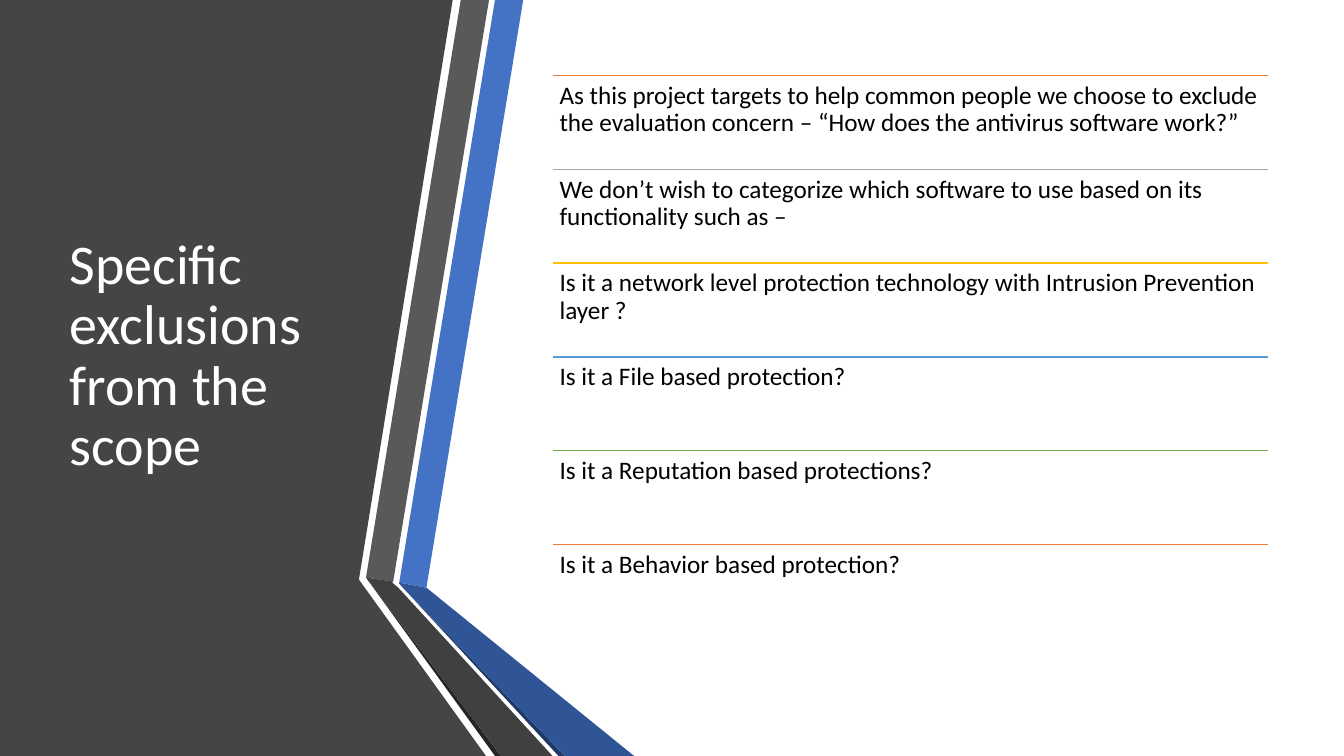
from lxml import etree
from pptx import Presentation
from pptx.dml.color import RGBColor
from pptx.enum.shapes import MSO_CONNECTOR
from pptx.enum.text import MSO_ANCHOR, MSO_AUTO_SIZE, PP_ALIGN
from pptx.oxml.ns import qn
from pptx.util import Inches, Pt

COLORS = {
    "panel": "454545", "blue band": "4472C4", "grey band": "595959",
    "grey edge": "262626", "blue edge": "203864",
    "blue fold": "2F5597", "grey fold": "404040",
    "title": "FFFFFF", "body": "000000",
    "orange": "ED7D31", "grey": "A5A5A5", "gold": "FFC000",
    "sky": "5B9BD5", "green": "70AD47",
}


def rgb(name):
    return RGBColor.from_string(COLORS[name])


def style_text(frame, size, color):
    frame.word_wrap = True
    frame.auto_size = MSO_AUTO_SIZE.NONE
    paragraph = frame.paragraphs[0]
    paragraph.alignment = PP_ALIGN.LEFT
    paragraph.line_spacing = 0.9
    font = paragraph.runs[0].font
    font.name = "Calibri"
    font.size = Pt(size)
    font.color.rgb = rgb(color)


prs = Presentation()
prs.slide_width = Inches(13.33)
prs.slide_height = Inches(7.5)
slide = prs.slides.add_slide(prs.slide_layouts[5])

# Dark panel and the folded bands beside it, back to front
outlines = [
    ("panel", [(0, 0), (4.49, 0), (3.56, 5.75), (4.82, 7.5), (0, 7.5)]),
    ("blue band", [(3.96, 5.78), (4.23, 5.83), (5.19, 0), (4.91, 0)]),
    ("grey band", [(4.85, 0), (4.57, 0), (3.63, 5.73), (3.9, 5.77)]),
    ("grey edge", [(3.63, 5.73), (4.91, 7.5), (4.97, 7.5)]),
    ("blue edge", [(3.96, 5.79), (5.54, 7.5), (5.6, 7.5)]),
    ("blue fold", [(3.96, 5.78), (3.96, 5.79), (5.6, 7.5), (6.29, 7.5), (4.23, 5.83)]),
    ("grey fold", [(3.63, 5.73), (4.97, 7.5), (5.48, 7.5), (3.95, 5.83),
                   (3.89, 5.78), (3.9, 5.77)]),
]
for color, points in outlines:
    corners = [(Inches(x), Inches(y)) for x, y in points]
    builder = slide.shapes.build_freeform(*corners[0])
    builder.add_line_segments(corners[1:], close=True)
    band = builder.convert_to_shape()
    band.shadow.inherit = False
    band.fill.solid()
    band.fill.fore_color.rgb = rgb(color)
    band.line.fill.background()

# Title, brought in front of the panel
title = slide.shapes.title
band.element.addnext(title.element)
title.left, title.top = Inches(0.59), Inches(0.75)
title.width, title.height = Inches(3.04), Inches(5.58)
title.text_frame.text = "Specific exclusions from the scope"
title.text_frame.vertical_anchor = MSO_ANCHOR.MIDDLE
style_text(title.text_frame, 40, "title")

# Exclusions, each under a coloured rule
exclusions = [
    ("orange", "As this project targets to help common people we choose to exclude "
               "the evaluation concern – “How does the antivirus software work?”"),
    ("grey", "We don’t wish to categorize which software to use based on its "
             "functionality such as –"),
    ("gold", "Is it a network level protection technology with Intrusion "
             "Prevention layer ?"),
    ("sky", "Is it a File based protection?"),
    ("green", "Is it a Reputation based protections?"),
    ("orange", "Is it a Behavior based protection?"),
]
left, width, row_height = Inches(5.48), Inches(7.1), Inches(0.93)
for row, (color, wording) in enumerate(exclusions):
    top = Inches(0.75) + row * row_height
    rule = slide.shapes.add_connector(
        MSO_CONNECTOR.STRAIGHT, left, top, left + width, top)
    rule.line.color.rgb = rgb(color)
    rule.line.width = Pt(1)
    etree.SubElement(rule.element.spPr, qn("a:effectLst"))

    exclusion = slide.shapes.add_textbox(left, top, width, row_height).text_frame
    exclusion.text = wording
    exclusion.margin_left = exclusion.margin_right = Inches(0.07)
    exclusion.margin_top = exclusion.margin_bottom = Inches(0.07)
    exclusion.vertical_anchor = MSO_ANCHOR.TOP
    style_text(exclusion, 18, "body")

prs.save("out.pptx")
